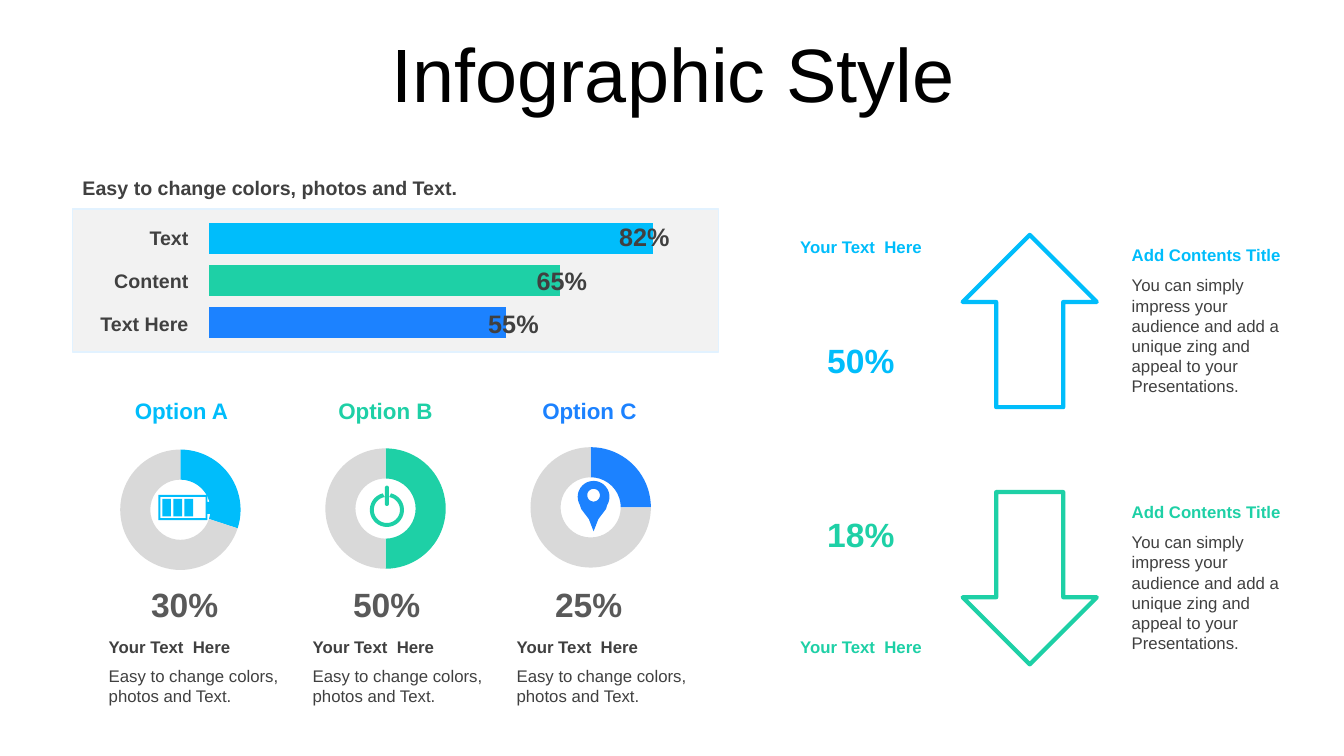
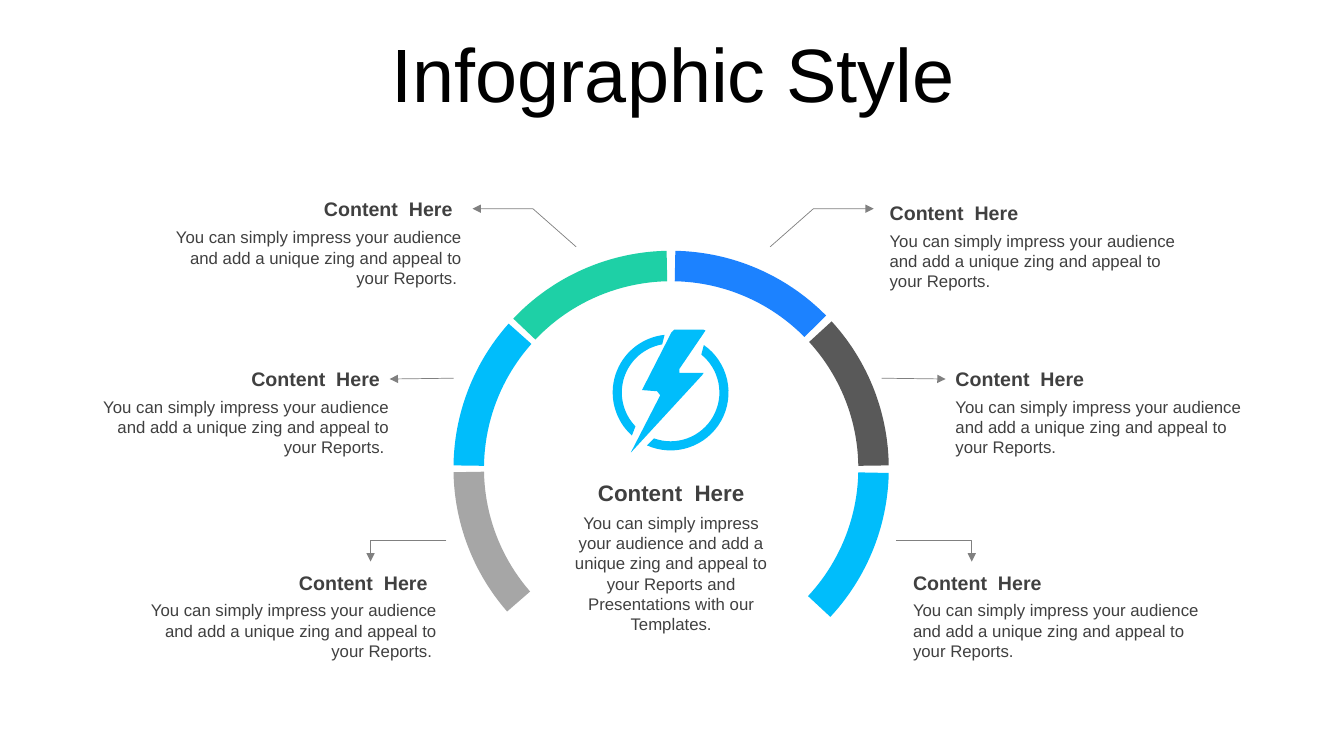
from math import cos, radians, sin

from lxml.etree import SubElement
from pptx import Presentation
from pptx.chart.data import CategoryChartData
from pptx.dml.color import RGBColor
from pptx.enum.chart import XL_CHART_TYPE
from pptx.enum.shapes import MSO_CONNECTOR, MSO_SHAPE
from pptx.enum.text import MSO_ANCHOR, MSO_AUTO_SIZE, PP_ALIGN
from pptx.oxml.ns import qn
from pptx.util import Cm, Pt

CYAN = RGBColor(0x00, 0xBD, 0xFB)
GREEN = RGBColor(0x1E, 0xD0, 0xA6)
BLUE = RGBColor(0x1C, 0x82, 0xFF)
INK = RGBColor(0x40, 0x40, 0x40)
SLATE = RGBColor(0x59, 0x59, 0x59)
STEEL = RGBColor(0x80, 0x80, 0x80)
GRAY = RGBColor(0xA6, 0xA6, 0xA6)
SILVER = RGBColor(0xD9, 0xD9, 0xD9)
MIST = RGBColor(0xF2, 0xF2, 0xF2)
ICE = RGBColor(0xE2, 0xF2, 0xFF)
BLACK = RGBColor(0, 0, 0)
TRIO = (CYAN, GREEN, BLUE)

LEFT, MID, RIGHT = PP_ALIGN.LEFT, PP_ALIGN.CENTER, PP_ALIGN.RIGHT
TITLE = {"name": "Arial", "size": Pt(54), "bold": False}
BIG = {"name": "Arial", "size": Pt(24), "bold": True}
LABEL = {"name": "Arial", "size": Pt(18), "bold": True}
NAME = {"name": "Arial", "size": Pt(16), "bold": True}
HEAD = {"name": "Arial", "size": Pt(14), "bold": True}
LEAD = {"name": "Arial", "size": Pt(12), "bold": True}
BODY = {"name": "Arial", "size": Pt(12), "bold": False}
CHART = {"name": "Arial", "size": Pt(18)}
FRAME = {"word_wrap": True, "auto_size": MSO_AUTO_SIZE.SHAPE_TO_FIT_TEXT}
SPACE = {"line_spacing": 0.9, "space_before": Pt(10)}

EASY = "Easy to change colors, photos and Text."
ZING = "You can simply impress your audience and add a unique zing and appeal to your "


def style(item, form):
    for key, value in form.items():
        setattr(item, key, value)


def place(item, *box):
    style(item, dict(zip(("left", "top", "width", "height"), map(Cm, box))))


def write(frame, words, form, ink, align):
    line = frame.paragraphs[0]
    line.alignment = align
    run = line.add_run()
    run.text = words
    style(run.font, form)
    run.font.color.rgb = ink
    return line


def text(slide, box, words, form, ink=INK, align=LEFT, anchor=MSO_ANCHOR.TOP):
    frame = slide.shapes.add_textbox(*map(Cm, box)).text_frame
    style(frame, FRAME | {"vertical_anchor": anchor})
    write(frame, words, form, ink, align)


def note(slide, x, y, wide, head, body, form=HEAD, ink=INK, align=LEFT, drop=0.75, trim=0):
    text(slide, (x, y, wide - trim, 0.86), head, form, ink, align)
    text(slide, (x, y + drop, wide, 1.8), body, BODY, INK, align)


def page(deck, layout):
    slide = deck.slides.add_slide(layout)
    frame = slide.shapes.title.text_frame
    style(frame, {"vertical_anchor": MSO_ANCHOR.MIDDLE, "auto_size": MSO_AUTO_SIZE.NONE})
    style(write(frame, "Infographic Style", TITLE, BLACK, MID), SPACE)
    return slide


def paint(item, fill=None, line=None, width=1):
    item.shadow.inherit = False
    if fill is None:
        item.fill.background()
    else:
        item.fill.solid()
        item.fill.fore_color.rgb = fill
    if line is None:
        item.line.fill.background()
    else:
        item.line.color.rgb = line
        item.line.width = Pt(width)


def preset(slide, kind, box, **look):
    item = slide.shapes.add_shape(kind, *map(Cm, box))
    paint(item, **look)
    return item


def form(slide, loops, close=True, **look):
    loops = [[(Cm(x), Cm(y)) for x, y in loop] for loop in loops]
    pen = slide.shapes.build_freeform(*loops[0][0], scale=1.0)
    for loop in loops:
        pen.move_to(*loop[0])
        pen.add_line_segments(loop[1:], close=close)
    item = pen.convert_to_shape()
    paint(item, **look)
    return item


def arc(x, y, r, start, end, steps=32):
    turns = [radians(start + (end - start) * i / steps) for i in range(steps + 1)]
    return [(x + r * cos(t), y + r * sin(t)) for t in turns]


def band(x, y, outer, inner, start, end, slant=0):
    return arc(x, y, outer, start, end) + arc(x, y, inner, end - slant, start + slant)


def block(x, y, wide, high):
    return [(x, y), (x + wide, y), (x + wide, y + high), (x, y + high)]


def trace(slide, points):
    if len(points) == 2:
        ends = [Cm(n) for point in points for n in point]
        item = slide.shapes.add_connector(MSO_CONNECTOR.STRAIGHT, *ends)
        item.line.color.rgb = STEEL
        item.line.width = Pt(0.5)
        SubElement(item.element.spPr, qn("a:effectLst"))
    else:
        item = form(slide, [points], close=False, line=STEEL, width=0.5)
    SubElement(item.element.spPr.find(qn("a:ln")), qn("a:tailEnd"), type="triangle")


def graph(slide, kind, box, values, inks, area):
    data = CategoryChartData()
    data.categories = [str(i + 1) for i in range(len(values))]
    data.add_series("Series 1", values)
    chart = slide.shapes.add_chart(kind, *map(Cm, box), data).chart
    style(chart, {"has_title": False, "has_legend": False})
    style(chart.font, CHART)
    chart.font.color.rgb = BLACK
    plot = chart.plots[0]
    plot.vary_by_categories = False
    for i, ink in enumerate(inks):
        look = plot.series[0].points[i].format
        look.fill.solid()
        look.fill.fore_color.rgb = ink
        look.line.fill.background()
    zone = chart.element.xpath("c:chart/c:plotArea")[0]
    for old in zone.findall(qn("c:layout")):
        zone.remove(old)
    layout = SubElement(zone, qn("c:layout"))
    zone.insert(0, layout)
    manual = SubElement(layout, qn("c:manualLayout"))
    marks = {"layoutTarget": "inner", "xMode": "edge", "yMode": "edge"}
    for key, value in (marks | dict(zip("xywh", area))).items():
        SubElement(manual, qn("c:" + key), val=str(value))
    return chart


def bars(slide):
    text(slide, (1.83, 4.32, 12.24, 0.86), EASY, HEAD)
    preset(slide, MSO_SHAPE.RECTANGLE, (1.83, 5.26, 16.28, 3.61), fill=MIST, line=ICE, width=1.25)
    chart = graph(slide, XL_CHART_TYPE.BAR_STACKED, (4.88, 5.08, 12.95, 3.99),
                  (67, 79, 100), TRIO[::-1], (0.03, 0.1, 0.95, 0.8))
    style(chart.plots[0], {"gap_width": 36, "overlap": 100})
    chart.category_axis.visible = False
    style(chart.value_axis, {"visible": False, "has_major_gridlines": False,
                             "minimum_scale": 0, "maximum_scale": 110})
    rows = (("Text", "82%", 15.34), ("Content", "65%", 13.26), ("Text Here", "55%", 12.04))
    for i, (name, share, x) in enumerate(rows):
        text(slide, (2.16, 5.56 + 1.08 * i, 2.84, 0.86), name, HEAD, INK, RIGHT, MSO_ANCHOR.MIDDLE)
        text(slide, (x, 5.46 + 1.09 * i, 1.8, 1.02), share, LABEL, INK, MID)


def rings(slide):
    for i, (ink, share) in enumerate(zip(TRIO, (30, 50, 25))):
        x = 2.49 + 5.14 * i
        text(slide, (x, 9.88, 4.17, 0.94), "Option " + "ABC"[i], NAME, ink, MID)
        chart = graph(slide, XL_CHART_TYPE.DOUGHNUT, (2.9 + 5.17 * i, 11.2 - 0.03 * i, 3.23, 3.23),
                      (share, 100 - share), (ink, SILVER), (0.04, 0.04, 0.98, 0.94))
        chart.element.xpath(".//c:holeSize")[0].set("val", "80")
        text(slide, (3.45 + 5.09 * i, 14.58, 2.41, 1.27), f"{share}%", BIG, SLATE, MID,
             MSO_ANCHOR.MIDDLE)
        note(slide, x, 15.93, 4.83, "Your Text  Here", EASY, LEAD, drop=0.71)


def icons(slide):
    cells = [block(4.09 + 0.28 * i, 12.57, 0.22, 0.44) for i in range(3)]
    form(slide, [block(3.99, 12.47, 1.24, 0.64), block(4.04, 12.52, 1.14, 0.54),
                 block(5.23, 12.65, 0.1, 0.3)] + cells, fill=CYAN)
    form(slide, [band(9.75, 12.85, 0.43, 0.33, -76, 256, -4),
                 arc(9.75, 12.29, 0.05, 180, 360) + arc(9.75, 12.7, 0.05, 0, 180)], fill=GREEN)
    x = 14.96
    drop = [(x + 0.31, 12.83), (x + 0.12, 13.08), (x, 13.39), (x - 0.12, 13.08), (x - 0.31, 12.83)]
    form(slide, [arc(x, 12.52, 0.4, 150, 390) + drop, arc(x, 12.48, 0.16, 0, 360)], fill=BLUE)


def trends(slide):
    rows = ((CYAN, "50%", 5.92, 0, 8.43, 5.84, 6.05), (GREEN, "18%", 12.4, 180, 12.83, 15.93, 12.52))
    for ink, share, top, turn, mid, low, head in rows:
        item = preset(slide, MSO_SHAPE.UP_ARROW, (24.26, top, 3.38, 4.34), line=ink, width=3)
        item.rotation = turn
        text(slide, (20.4, mid, 2.59, 1.27), share, BIG, ink, MID, MSO_ANCHOR.MIDDLE)
        text(slide, (19.58, low, 4.24, 0.76), "Your Text  Here", LEAD, ink, MID)
        note(slide, 28.27, head, 4.5, "Add Contents Title", ZING.replace("your ", "your ").strip()
             + " Presentations.", LEAD, ink, drop=0.76)


def wheel(slide):
    parts = ((GRAY, 138.9, 179), (CYAN, 180.8, 221.7), (GREEN, 223.5, 268.8),
             (BLUE, 271.1, 315.4), (SLATE, 317.5, 359.2), (CYAN, 1.2, 43))
    for ink, start, end in parts:
        item = preset(slide, MSO_SHAPE.BLOCK_ARC, (11.43, 6.32, 10.97, 10.97), fill=ink)
        for i, value in enumerate((start * 0.6, end * 0.6, 0.07)):
            item.adjustments[i] = value


def bolt(slide):
    form(slide, [[(17.78, 8.33), (17.12, 9.3), (17.12, 9.4), (17.73, 9.4), (17.7, 9.45),
                  (15.95, 11.35), (15.9, 11.4), (16.64, 9.96), (16.56, 9.86), (16.18, 9.83),
                  (16.92, 8.38), (16.99, 8.31), (17.73, 8.31)]], fill=CYAN)
    for start, end in ((-55, 114), (132, 264)):
        form(slide, [band(16.9, 9.89, 1.46, 1.23, start, end, 4)], fill=CYAN)


def calls(slide):
    for x, y in ((22.17, 4.93), (23.83, 9.12), (22.76, 14.25)):
        note(slide, x, y, 7.85, "Content  Here", ZING + "Reports.")
    for x, y in ((4.14, 4.85), (2.31, 9.12), (3.51, 14.25)):
        note(slide, x, y, 7.75, "Content  Here", ZING + "Reports. ", align=RIGHT, trim=0.23)
    note(slide, 14.02, 11.96, 5.79, "Content  Here",
         ZING + "Reports and Presentations with our Templates.", NAME, align=MID, drop=0.84)
    lines = ((33.93, [(19.41, 6.22), (20.5, 5.26), (22.02, 5.26)]),
             (33.65, [(22.22, 9.53), (23.83, 9.55)]),
             (33.83, [(22.58, 13.61), (24.49, 13.61), (24.49, 14.15)]))
    for span, points in lines:
        trace(slide, points)
        trace(slide, [(span - x, y) for x, y in points])


def main():
    deck = Presentation()
    style(deck, {"slide_width": Cm(33.87), "slide_height": Cm(19.05)})
    layout = deck.slide_layouts[5]
    place(layout.placeholders[0], 0.89, 0.79, 32.16, 2.34)
    first = page(deck, layout)
    for draw in (bars, rings, icons, trends):
        draw(first)
    second = page(deck, layout)
    for draw in (wheel, bolt, calls):
        draw(second)
    deck.save("out.pptx")


if __name__ == "__main__":
    main()
